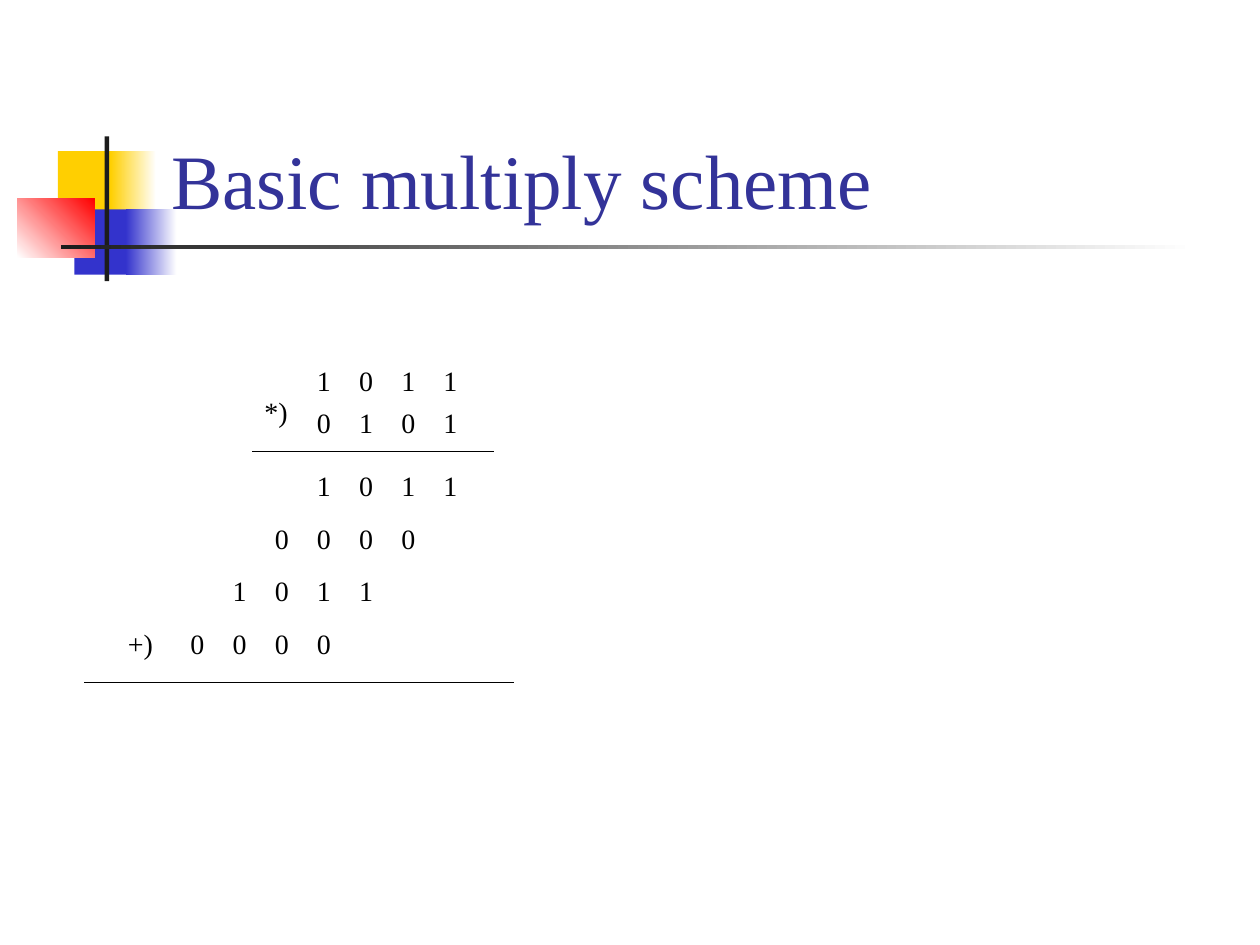
from lxml.etree import SubElement
from pptx import Presentation
from pptx.dml.color import RGBColor
from pptx.enum.shapes import MSO_CONNECTOR, MSO_SHAPE
from pptx.enum.text import MSO_ANCHOR
from pptx.oxml.ns import qn
from pptx.util import Cm, Pt

COLORS = {
    "yellow": "FFCF01", "blue": "3333CC", "red": "FF0000", "white": "FFFFFF",
    "dark": "1C1C1C", "title": "333399", "black": "000000",
}
DIGIT_PITCH = 0.85
PARTIAL_PITCH = 1.06


def color(name):
    """Return the named colour."""
    return RGBColor.from_string(COLORS[name])


def write_text(frame, text, size=16, color_name="black", tab_pitch=None):
    """Write one formatted paragraph, with even tab stops if asked."""
    paragraph = frame.paragraphs[0]
    if tab_pitch:
        tab_list = SubElement(paragraph._p.get_or_add_pPr(), qn("a:tabLst"))
        for stop in range(1, text.count("\t") + 1):
            SubElement(tab_list, qn("a:tab"), pos=str(Cm(tab_pitch * stop)), algn="l")
    run = paragraph.add_run()
    run.text = text
    run.font.name = "Times New Roman"
    run.font.size = Pt(size)
    run.font.color.rgb = color(color_name)


class SlideBuilder:
    """Hold the current slide and draw its elements in one style."""

    def __init__(self, slide):
        """Keep the slide to draw on."""
        self.slide = slide

    def block(self, left, top, width, height, *color_names, angle=0):
        """Add a borderless rectangle with a solid or two-colour fill."""
        shape = self.slide.shapes.add_shape(
            MSO_SHAPE.RECTANGLE, Cm(left), Cm(top), Cm(width), Cm(height))
        shape.shadow.inherit = False
        shape.line.fill.background()
        if len(color_names) == 1:
            shape.fill.solid()
            shape.fill.fore_color.rgb = color(color_names[0])
            return
        shape.fill.gradient()
        shape.fill.gradient_angle = angle
        for stop, name in zip(shape.fill.gradient_stops, color_names):
            stop.color.rgb = color(name)

    def text(self, left, top, width, height, text, anchor=MSO_ANCHOR.TOP,
             wrap=True, **style):
        """Add a text box."""
        box = self.slide.shapes.add_textbox(Cm(left), Cm(top), Cm(width), Cm(height))
        box.text_frame.word_wrap = wrap
        box.text_frame.vertical_anchor = anchor
        write_text(box.text_frame, text, **style)

    def digits(self, left, top, number):
        """Add a row of evenly spaced binary digits."""
        self.text(left, top, 3.5, 0.94, "\t".join(number), tab_pitch=DIGIT_PITCH)

    def rule(self, left, right, top):
        """Add a thin horizontal line."""
        line = self.slide.shapes.add_connector(
            MSO_CONNECTOR.STRAIGHT, Cm(left), Cm(top), Cm(right), Cm(top))
        line.line.color.rgb = color("black")
        line.line.width = Pt(0.75)
        SubElement(line._element.spPr, qn("a:effectLst"))


def main():
    """Build and save the slide."""
    presentation = Presentation()
    presentation.slide_width, presentation.slide_height = Cm(25.4), Cm(19.05)
    builder = SlideBuilder(presentation.slides.add_slide(presentation.slide_layouts[6]))

    builder.block(1.17, 3.05, 1.22, 1.32, "yellow")
    builder.block(2.23, 3.05, 0.92, 1.32, "yellow", "white")
    builder.block(1.5, 4.22, 1.17, 1.32, "blue")
    builder.block(2.54, 4.22, 1.02, 1.32, "blue", "white")
    builder.block(0.35, 4.01, 1.56, 1.18, "white", "red", angle=45)
    builder.block(2.11, 2.75, 0.09, 2.92, "dark")
    builder.block(1.23, 4.94, 22.86, 0.09, "dark", "white")
    builder.text(3.2, 0.6, 21.64, 4.06, "Basic multiply scheme",
                 anchor=MSO_ANCHOR.BOTTOM, size=44, color_name="title")

    multiplicand, multiplier = "1011", "0101"
    units_left, partial_top = 6.14, 9.32
    builder.digits(units_left, 7.2, multiplicand)
    builder.digits(units_left, 8.05, multiplier)
    builder.text(5.08, 7.83, 1, 0.94, "*)")
    builder.rule(5.08, 9.95, 9.1)

    for shift, bit in enumerate(reversed(multiplier)):
        partial = multiplicand if bit == "1" else "0" * len(multiplicand)
        builder.digits(units_left - DIGIT_PITCH * shift,
                       partial_top + PARTIAL_PITCH * shift, partial)
    builder.text(2.33, partial_top + PARTIAL_PITCH * 3, 1.02, 0.94, "+)", wrap=False)
    builder.rule(1.7, 10.37, 13.76)

    presentation.save("out.pptx")


if __name__ == "__main__":
    main()
